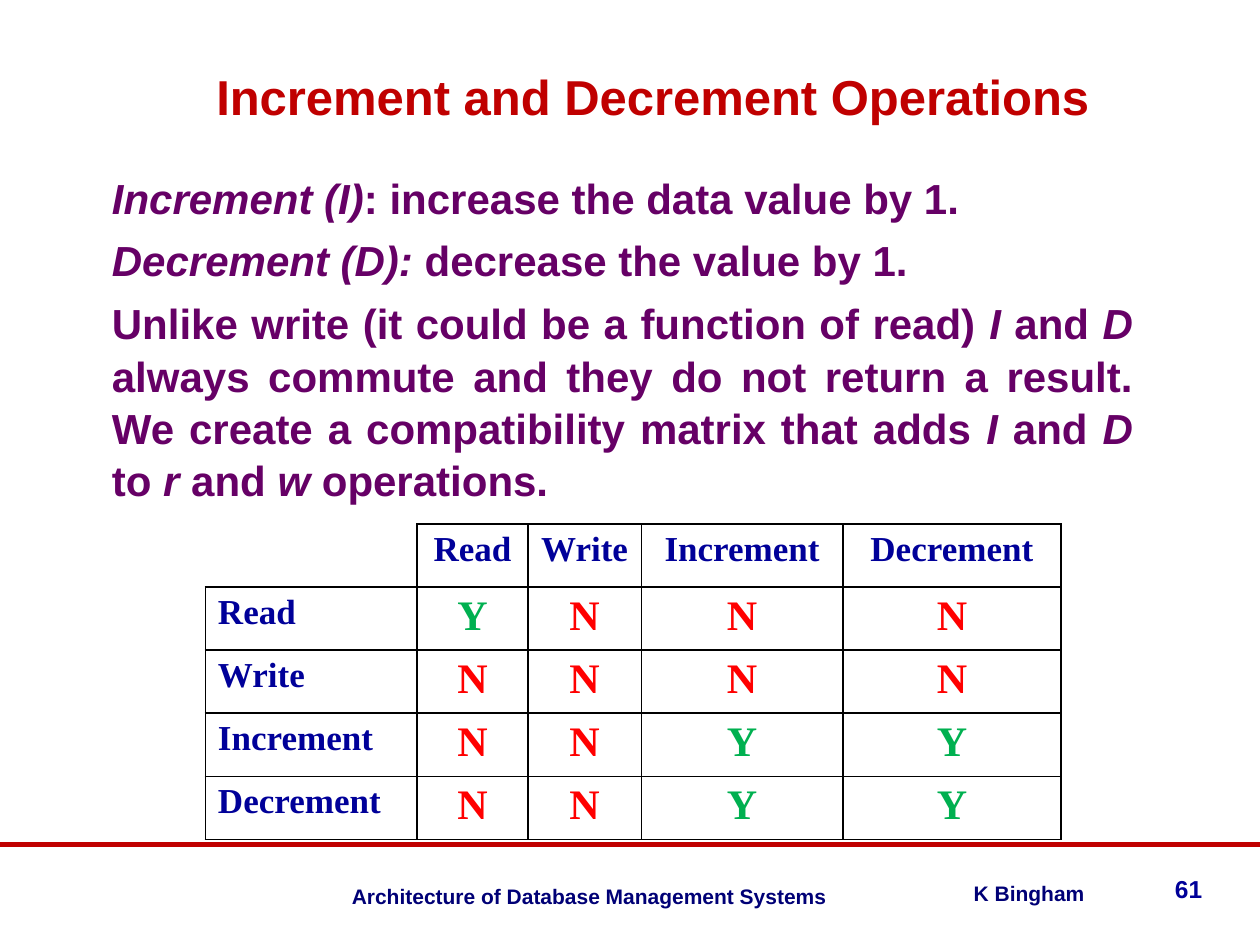
"""Build the slide on increment and decrement operations with its compatibility matrix."""
import pptx
import pptx.util
import pptx.dml.color
import pptx.enum.shapes
import pptx.enum.text
import pptx.oxml
import lxml.etree

Inches, Pt = pptx.util.Inches, pptx.util.Pt
Align, Anchor = pptx.enum.text.PP_ALIGN, pptx.enum.text.MSO_ANCHOR
RED, NAVY, BLUE, PURPLE = "C00000", "000076", "000099", "660066"
ANSWER_COLORS = {"Y": "00B050", "N": "FF0000"}

TITLE = [["Increment and Decrement Operations"]]
EXPLANATION = [
    ["", "Increment (I)", ": increase the data value by 1."],
    ["", "Decrement (D): ", "decrease the value by 1."],
    ["Unlike write (it could be a function of read) ", "I", " and ", "D",
     " always commute and they do not return a result. We create a compatibility matrix that adds ",
     "I", " and ", "D", " to ", "r", " and ", "w", " operations."],
]
OPERATIONS = ["Read", "Write", "Increment", "Decrement"]
COMPATIBLE = ["YNNN", "NNNN", "NNYY", "NNYY"]
MATRIX_LEFT, MATRIX_TOP, ROW_HEIGHT = 1.63, 4.16, 0.5
COLUMN_WIDTHS = [1.68, 0.88, 0.9, 1.6, 1.73]

PASSAGES = [
    ([["Architecture of Database Management Systems"]], (2.69, 6.96, 3.97, 0.27),
     Align.RIGHT, 12, NAVY, {}),
    ([["K Bingham"]], (7.63, 6.94, 1.26, 0.27), Align.JUSTIFY, 12, NAVY, {}),
    ([["61"]], (8.99, 6.89, 0.65, 0.27), Align.RIGHT, 14, BLUE, {}),
    (TITLE, (1.19, 0.41, 7.98, 0.7), Align.CENTER, 28, RED, {}),
    (EXPLANATION, (0.79, 1.3, 8.3, 2.69), Align.JUSTIFY, 24, PURPLE,
     {"space_before": Pt(6), "line_spacing": 1.04}),
]


def rgb(code):
    return pptx.dml.color.RGBColor.from_string(code)


def apply(target, values):
    for name, value in values.items():
        setattr(target, name, value)


def add_words(paragraph, words, size, color, face="Arial", italic=False):
    run = paragraph.add_run()
    run.text = words
    apply(run.font, {"size": Pt(size), "name": face, "bold": True, "italic": italic})
    run.font.color.rgb = rgb(color)


def add_passage(slide, paragraphs, place, align, size, color, spacing):
    frame = slide.shapes.add_textbox(*map(Inches, place)).text_frame
    apply(frame, {"word_wrap": True,
                  "vertical_anchor": Anchor.MIDDLE if paragraphs is TITLE else Anchor.TOP})
    for index, pieces in enumerate(paragraphs):
        paragraph = frame.add_paragraph() if index else frame.paragraphs[0]
        apply(paragraph, {"alignment": align, **spacing})
        for position, words in enumerate(pieces):
            if words:
                add_words(paragraph, words, size, color, italic=position % 2 == 1)


def add_borders(cell, sides):
    properties = cell._tc.get_or_add_tcPr()
    for position, side in enumerate(sides):
        properties.insert(position, pptx.oxml.parse_xml(
            '<a:ln%s xmlns:a="http://schemas.openxmlformats.org/drawingml/2006/main" w="12700">'
            '<a:solidFill><a:srgbClr val="000000"/></a:solidFill></a:ln%s>' % (side, side)))


def add_matrix(slide):
    count = len(OPERATIONS) + 1
    matrix = slide.shapes.add_table(
        count, count, Inches(MATRIX_LEFT), Inches(MATRIX_TOP),
        Inches(sum(COLUMN_WIDTHS)), Inches(ROW_HEIGHT * count)).table
    apply(matrix, {"first_row": False, "horz_banding": False})
    for column, width in zip(matrix.columns, COLUMN_WIDTHS):
        column.width = Inches(width)
    contents = [["", *OPERATIONS]] + [[name, *row] for name, row in zip(OPERATIONS, COMPATIBLE)]
    for r, row in enumerate(contents):
        matrix.rows[r].height = Inches(ROW_HEIGHT)
        for c, words in enumerate(row):
            cell = matrix.cell(r, c)
            cell.fill.background()
            add_borders(cell, "LRTB" if words else "RB")
            paragraph = cell.text_frame.paragraphs[0]
            paragraph.alignment = Align.CENTER if c else Align.LEFT
            if words:
                add_words(paragraph, words, 24 if words in ANSWER_COLORS else 20,
                          ANSWER_COLORS.get(words, BLUE), "Times New Roman")


def add_footer_rule(slide, width):
    rule = slide.shapes.add_connector(
        pptx.enum.shapes.MSO_CONNECTOR.STRAIGHT, 0, Inches(6.7), width, Inches(6.7))
    rule.line.color.rgb = rgb(RED)
    rule.line.width = Pt(3)
    lxml.etree.SubElement(rule._element.spPr, pptx.oxml.ns.qn("a:effectLst"))


deck = pptx.Presentation()
apply(deck, {"slide_width": Inches(10), "slide_height": Inches(7.5)})
page = deck.slides.add_slide(deck.slide_layouts[6])
add_footer_rule(page, deck.slide_width)
for passage in PASSAGES:
    add_passage(page, *passage)
add_matrix(page)
deck.save("out.pptx")
